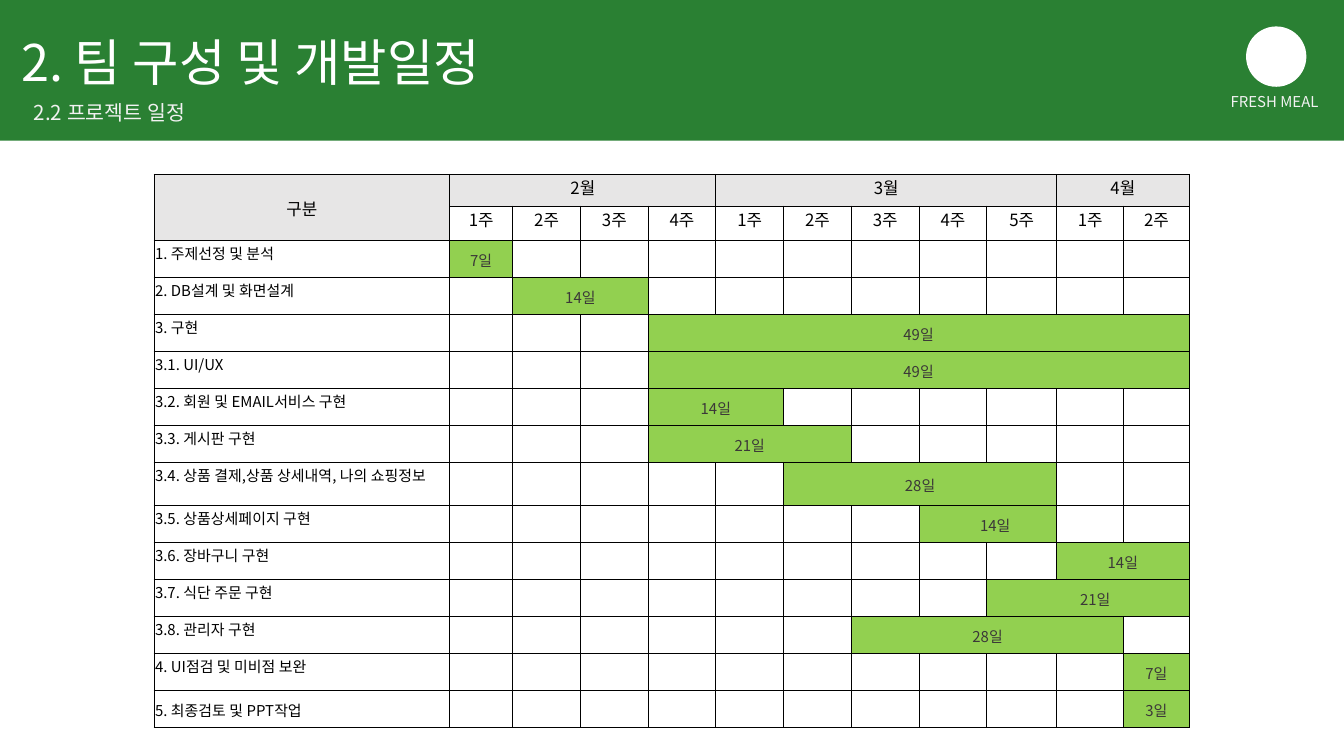
from dataclasses import dataclass

from lxml.etree import SubElement
from pptx import Presentation
from pptx.dml.color import RGBColor
from pptx.enum.shapes import MSO_SHAPE
from pptx.enum.text import MSO_ANCHOR, PP_ALIGN
from pptx.oxml import parse_xml
from pptx.oxml.ns import qn
from pptx.util import Cm, Pt


@dataclass(frozen=True)
class Theme:
    font: str = "Noto Sans CJK KR"
    month_font: str = "Arial"
    banner: str = "2A8033"
    white: str = "FFFFFF"
    soft_white: str = "F2F2F2"
    black: str = "000000"
    bar: str = "92D050"
    bar_text: str = "3B3838"
    header: str = "E7E6E6"
    title_size: int = 27
    subtitle_size: int = 11
    header_size: int = 9
    body_size: int = 8


theme = Theme()
BORDER = (
    '<a:{side} xmlns:a="http://schemas.openxmlformats.org/drawingml/2006/main" w="6350">'
    '<a:solidFill><a:srgbClr val="{color}"/></a:solidFill></a:{side}>'
)


def write(paragraph, text, size, color, font=theme.font, align=PP_ALIGN.LEFT):
    """Add one run with the same typeface for Latin and Korean letters."""
    paragraph.alignment = align
    run = paragraph.add_run()
    run.text = text
    for name, value in {"size": Pt(size), "name": font}.items():
        setattr(run.font, name, value)
    run.font.color.rgb = RGBColor.from_string(color)
    latin = run.font._element.find(qn("a:latin"))
    latin.addnext(latin.makeelement(qn("a:ea"), {"typeface": font}))


def paint(cell, color):
    cell.fill.solid()
    cell.fill.fore_color.rgb = RGBColor.from_string(color)


deck = Presentation()
deck.slide_width, deck.slide_height = Cm(25.4), Cm(14.28)
slide = deck.slides.add_slide(deck.slide_layouts[6])

# Banner with a plain disc as the emblem
for preset, box, color in [
    (MSO_SHAPE.RECTANGLE, (0, 0, 25.4, 2.66), theme.banner),
    (MSO_SHAPE.OVAL, (23.55, 0.5, 1.14, 1.14), theme.white),
]:
    panel = slide.shapes.add_shape(preset, *map(Cm, box))
    panel.shadow.inherit = False
    panel.fill.solid()
    panel.fill.fore_color.rgb = RGBColor.from_string(color)
    panel.line.fill.background()

inset = {"margin_left": Cm(0.18), "margin_right": Cm(0.18),
         "margin_top": Cm(0.1), "margin_bottom": Cm(0.1), "word_wrap": True}
for text, box, size, color, align in [
    ("2. 팀 구성 및 개발일정", (0.23, 0.48, 15.47, 1.35),
     theme.title_size, theme.white, PP_ALIGN.LEFT),
    ("2.2 프로젝트 일정", (0.46, 1.78, 9.98, 0.66),
     theme.subtitle_size, theme.soft_white, PP_ALIGN.LEFT),
    ("FRESH MEAL", (21.03, 1.65, 6.12, 0.53),
     theme.body_size, theme.soft_white, PP_ALIGN.CENTER),
]:
    frame = slide.shapes.add_textbox(*map(Cm, box)).text_frame
    for name, value in inset.items():
        setattr(frame, name, value)
    write(frame.paragraphs[0], text, size, color, align=align)

# Schedule: month -> number of weeks; task, first week column, weeks, duration
months = {"2": 4, "3": 5, "4": 2}
tasks = [
    ("1. 주제선정 및 분석", 1, 1, "7일"),
    ("2. DB설계 및 화면설계", 2, 2, "14일"),
    ("3. 구현", 4, 8, "49일"),
    ("3.1. UI/UX", 4, 8, "49일"),
    ("3.2. 회원 및 EMAIL서비스 구현", 4, 2, "14일"),
    ("3.3. 게시판 구현", 4, 3, "21일"),
    ("3.4. 상품 결제,상품 상세내역, 나의 쇼핑정보", 6, 4, "28일"),
    ("3.5. 상품상세페이지 구현", 8, 2, "14일"),
    ("3.6. 장바구니 구현", 10, 2, "14일"),
    ("3.7. 식단 주문 구현", 9, 3, "21일"),
    ("3.8. 관리자 구현", 7, 4, "28일"),
    ("4. UI점검 및 미비점 보완", 11, 1, "7일"),
    ("5. 최종검토 및 PPT작업", 11, 1, "3일"),
]
indented_bars = ("3.5.", "3.7.")
column_widths = [5.59, 1.19] + [1.28] * 7 + [1.32, 1.27, 1.23]
row_heights = [0.6, 0.66] + [0.81 if task[0].startswith("3.4.") else 0.7 for task in tasks]

schedule = slide.shapes.add_table(
    len(row_heights), len(column_widths), Cm(2.91), Cm(3.29),
    Cm(sum(column_widths)), Cm(sum(row_heights))).table
schedule.first_row = schedule.horz_banding = False
for column, width in zip(schedule.columns, column_widths):
    column.width = Cm(width)
for row, height in zip(schedule.rows, row_heights):
    row.height = Cm(height)

cell_format = {"margin_left": Cm(0.02), "margin_right": Cm(0.02),
               "margin_top": Cm(0.02), "margin_bottom": 0}
for cell in schedule.iter_cells():
    for name, value in cell_format.items():
        setattr(cell, name, value)
    for side in ("lnL", "lnR", "lnT", "lnB"):
        cell._tc.tcPr.append(parse_xml(BORDER.format(side=side, color=theme.black)))
    paint(cell, theme.white)
    # Empty cells need a small type size so that they do not stretch their row
    SubElement(cell.text_frame.paragraphs[0]._p, qn("a:endParaRPr"),
               sz=str(theme.body_size * 100))

category = schedule.cell(0, 0)
category.merge(schedule.cell(1, 0))
category.vertical_anchor = MSO_ANCHOR.MIDDLE
paint(category, theme.header)
write(category.text_frame.paragraphs[0], "구분", theme.header_size, theme.black,
      align=PP_ALIGN.CENTER)

first = 1
for month, weeks in months.items():
    heading = schedule.cell(0, first)
    heading.merge(schedule.cell(0, first + weeks - 1))
    paint(heading, theme.header)
    for text, font in [(month, theme.font), ("월", theme.month_font)]:
        write(heading.text_frame.paragraphs[0], text, theme.header_size, theme.black,
              font, PP_ALIGN.CENTER)
    for week in range(weeks):
        write(schedule.cell(1, first + week).text_frame.paragraphs[0], f"{week + 1}주",
              theme.header_size, theme.black, align=PP_ALIGN.CENTER)
    first += weeks

for row, (task, start, weeks, duration) in enumerate(tasks, 2):
    label = schedule.cell(row, 0)
    write(label.text_frame.paragraphs[0], task, theme.body_size, theme.black)
    bar = schedule.cell(row, start)
    if weeks > 1:
        bar.merge(schedule.cell(row, start + weeks - 1))
    bar.vertical_anchor = MSO_ANCHOR.MIDDLE
    if task.startswith(indented_bars):
        bar.margin_left = Cm(0.3)
    paint(bar, theme.bar)
    write(bar.text_frame.paragraphs[0], duration, theme.body_size, theme.bar_text,
          align=PP_ALIGN.CENTER)
label.vertical_anchor = MSO_ANCHOR.MIDDLE

deck.save("out.pptx")
